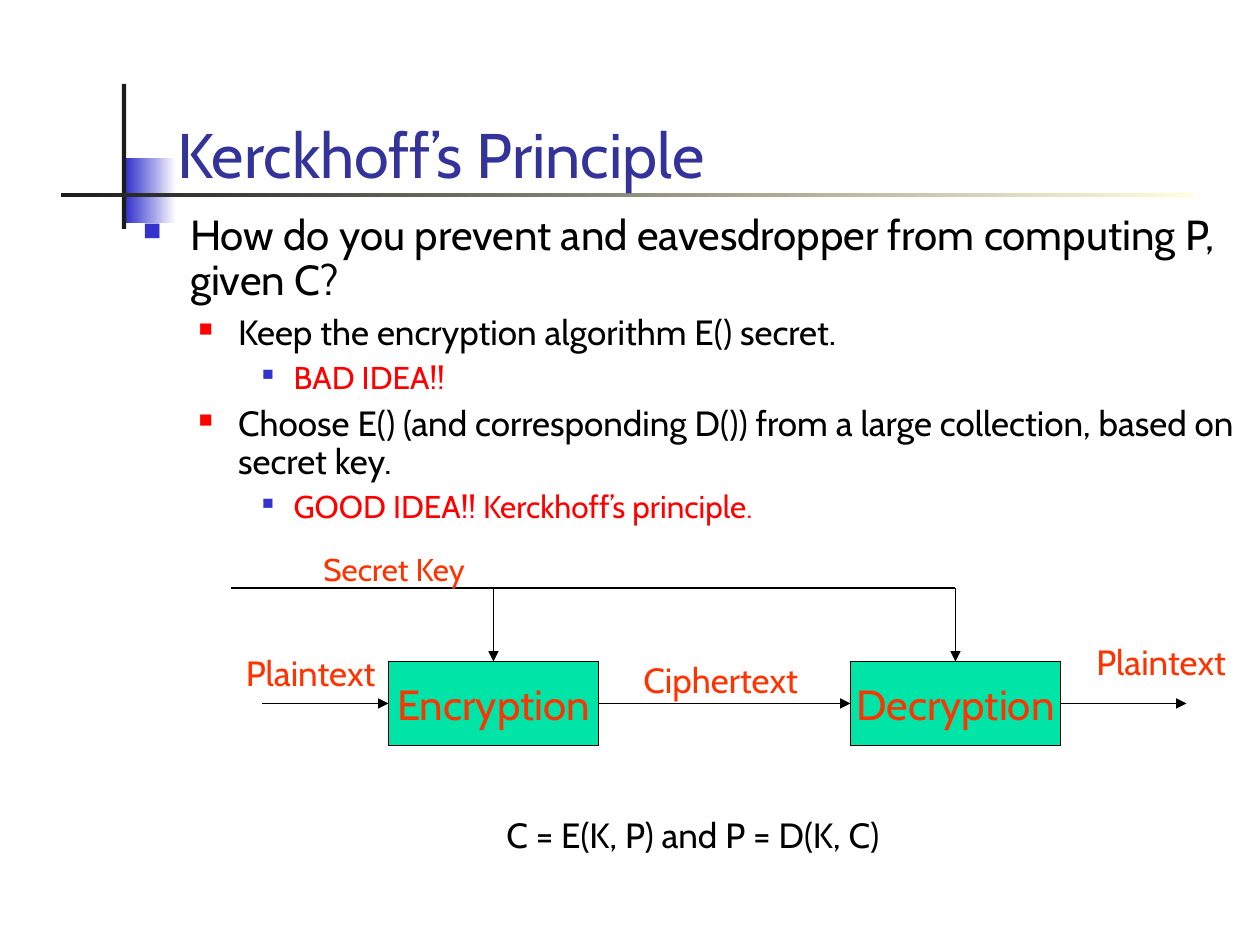
import pptx
import pptx.util
import pptx.dml.color
import pptx.enum.shapes
import pptx.enum.text
import pptx.oxml
import pptx.oxml.ns
from lxml import etree

Pt = pptx.util.Pt
ALIGN = pptx.enum.text.PP_ALIGN
ANCHOR = pptx.enum.text.MSO_ANCHOR
FONT = "Cabin"
COLORS = {
    "title": "333399", "text": "000000", "accent": "FF0000", "label": "FF3300",
    "blue": "3333CC", "white": "FFFFFF", "dark": "1C1C1C", "cream": "FFFFDD",
    "box": "00E4A8",
}

TITLE = "Kerckhoff’s Principle"
LEVELS = [
    dict(indent=30.2, hang=27, before=7, size=24, mark="blue", pct=60, color="text"),
    dict(indent=57.6, hang=22.5, before=6, size=20, mark="accent", pct=55, color="text"),
    dict(indent=89.3, hang=18, before=5, size=18, mark="blue", pct=50, color="accent"),
]
BULLETS = [
    (0, ["How do you prevent and eavesdropper from computing P, given C?"]),
    (1, ["Keep the encryption algorithm E() secret."]),
    (2, ["BAD IDEA!!"]),
    (1, ["Choose E() (and corresponding D()) from a large collection, based on secret key."]),
    (2, ["GOOD IDEA!! Kerckhoff’s principle", "."]),
]
PERIOD_SIZE = 16
FORMULA = "C = E(K, P) and P = D(K, C)"
DECORATION = [
    (72, 90, 28.8, 37.4, ("blue", "white")),
    (69.7, 48, 2.4, 82.8, ("dark",)),
    (34.6, 110.2, 648, 2.6, ("dark", "cream")),
]
STAGES = [("Encryption", 222), ("Decryption", 486)]
BOX_TOP, BOX_W, BOX_H = 378, 120, 48
KEY_LEFT, KEY_Y = 132, 336
STUB = 72
LABELS = [
    ("Plaintext", 214.5, 372, 20),
    ("Plaintext", 700.5, 366, 20),
    ("Ciphertext", 456, 376, 20),
    ("Secret Key", 265.5, 314.5, 18),
]
LABEL_W, LABEL_H = 110, 24


def rgb(name):
    return pptx.dml.color.RGBColor.from_string(COLORS[name])


def style(r, size, color):
    r.font.name = FONT
    r.font.size = Pt(size)
    r.font.color.rgb = rgb(color)


def frame(sp, anchor=ANCHOR.TOP, wrap=True):
    tf = sp.text_frame
    tf.word_wrap = wrap
    tf.vertical_anchor = anchor
    tf.margin_left = tf.margin_right = tf.margin_top = tf.margin_bottom = 0
    return tf


def write(tf, text, size, color, align=ALIGN.LEFT):
    p = tf.paragraphs[0]
    p.text = text
    p.alignment = align
    style(p.runs[0], size, color)


def add_text(s, x, y, w, h, text, size, color, align=ALIGN.LEFT, anchor=ANCHOR.TOP):
    tb = s.shapes.add_textbox(Pt(x), Pt(y), Pt(w), Pt(h))
    write(frame(tb, anchor), text, size, color, align)


def add_rect(s, x, y, w, h, fill):
    sp = s.shapes.add_shape(pptx.enum.shapes.MSO_SHAPE.RECTANGLE, Pt(x), Pt(y), Pt(w), Pt(h))
    sp.shadow.inherit = False
    sp.line.fill.background()
    if len(fill) == 1:
        sp.fill.solid()
        sp.fill.fore_color.rgb = rgb(fill[0])
    else:
        sp.fill.gradient()
        sp.fill.gradient_angle = 0
        for stop, name in zip(sp.fill.gradient_stops, fill):
            stop.color.rgb = rgb(name)
    return sp


def add_line(s, x1, y1, x2, y2, arrow=True, begin=None, end=None):
    cx = s.shapes.add_connector(pptx.enum.shapes.MSO_CONNECTOR.STRAIGHT,
                                Pt(x1), Pt(y1), Pt(x2), Pt(y2))
    cx.line.color.rgb = rgb("text")
    cx.line.width = Pt(0.75)
    if arrow:
        tail = etree.SubElement(cx.line._get_or_add_ln(), pptx.oxml.ns.qn("a:tailEnd"))
        tail.set("type", "triangle")
    etree.SubElement(cx._element.spPr, pptx.oxml.ns.qn("a:effectLst"))
    if begin:
        cx.begin_connect(*begin)
    if end:
        cx.end_connect(*end)


def add_bullet(p, level):
    pPr = p._p.get_or_add_pPr()
    pPr.set("marL", str(Pt(level["indent"])))
    pPr.set("indent", str(-Pt(level["hang"])))
    clr = etree.SubElement(pPr, pptx.oxml.ns.qn("a:buClr"))
    etree.SubElement(clr, pptx.oxml.ns.qn("a:srgbClr")).set("val", COLORS[level["mark"]])
    etree.SubElement(pPr, pptx.oxml.ns.qn("a:buSzPct")).set("val", str(level["pct"] * 1000))
    etree.SubElement(pPr, pptx.oxml.ns.qn("a:buChar")).set("char", "■")


def add_body(s):
    tb = s.shapes.add_textbox(Pt(78.5), Pt(122.4), Pt(633.6), Pt(190))
    tf = frame(tb)
    for i, (depth, parts) in enumerate(BULLETS):
        level = LEVELS[depth]
        p = tf.add_paragraph() if i else tf.paragraphs[0]
        p.level = depth
        add_bullet(p, level)
        p.line_spacing = 0.9
        if i:
            p.space_before = Pt(level["before"])
        for part in parts:
            r = p.add_run()
            r.text = part
            style(r, PERIOD_SIZE if part == "." else level["size"], level["color"])


def add_diagram(s):
    boxes = []
    for name, x in STAGES:
        sp = add_rect(s, x, BOX_TOP, BOX_W, BOX_H, ("box",))
        sp.line.color.rgb = rgb("text")
        sp.line.width = Pt(0.75)
        write(frame(sp, ANCHOR.MIDDLE, False), name, 24, "label", ALIGN.CENTER)
        boxes.append(sp)
    enc, dec = boxes
    enc_x, dec_x = [x for _, x in STAGES]
    mid = BOX_TOP + BOX_H / 2
    add_line(s, enc_x - STUB, mid, enc_x, mid, end=(enc, 1))
    add_line(s, enc_x + BOX_W, mid, dec_x, mid, begin=(enc, 3), end=(dec, 1))
    add_line(s, dec_x + BOX_W, mid, dec_x + BOX_W + STUB, mid, begin=(dec, 3))
    add_line(s, KEY_LEFT, KEY_Y, dec_x + BOX_W / 2, KEY_Y, arrow=False)
    for sp, x in zip(boxes, (enc_x, dec_x)):
        center = x + BOX_W / 2
        add_line(s, center, KEY_Y, center, BOX_TOP, end=(sp, 0))
    for text, right, top, size in LABELS:
        add_text(s, right - LABEL_W, top, LABEL_W, LABEL_H, text, size, "label", ALIGN.RIGHT)


def main():
    prs = pptx.Presentation()
    prs.slide_width, prs.slide_height = Pt(720), Pt(540)
    s = prs.slides.add_slide(prs.slide_layouts[6])
    for x, y, w, h, fill in DECORATION:
        add_rect(s, x, y, w, h, fill)
    add_text(s, 101.5, 60, 590, 49.4, TITLE, 36, "title", anchor=ANCHOR.BOTTOM)
    add_body(s)
    add_diagram(s)
    add_text(s, 246, 465, 300, 24, FORMULA, 20, "text", ALIGN.CENTER)
    prs.save("out.pptx")


if __name__ == "__main__":
    main()
